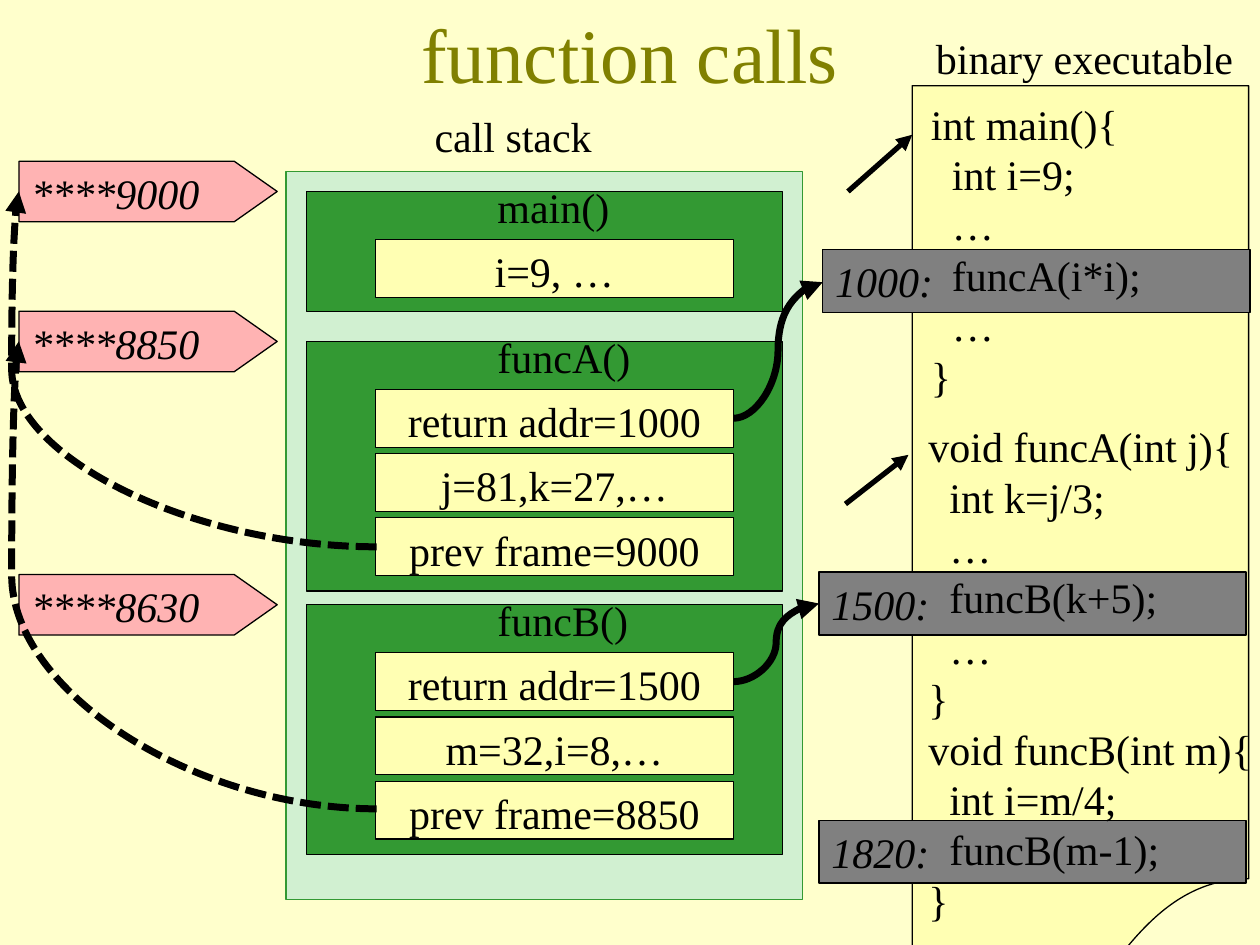
from dataclasses import dataclass

from pptx import Presentation
from pptx.dml.color import RGBColor
from pptx.enum.dml import MSO_LINE
from pptx.enum.shapes import MSO_CONNECTOR as Link, MSO_SHAPE as Shape
from pptx.enum.text import MSO_ANCHOR as Anchor, MSO_AUTO_SIZE as AutoSize, PP_ALIGN as Align
from pptx.oxml.ns import qn
from pptx.util import Inches, Pt
from lxml.etree import SubElement


@dataclass(frozen=True)
class Theme:
    font: str = "Times New Roman"
    title_size: int = 44
    body_size: int = 24
    background: str = "FFFFCC"
    title: str = "808000"
    ink: str = "000000"
    paper: str = "FFFFB3"
    address: str = "808080"
    stack: str = "D1F0D1"
    frame: str = "339933"
    pointer: str = "FFB3B3"


THEME = Theme()
FRAMES = [
    ("main()", "****9000", 1.52, 0.95, ["i=9, …"]),
    ("funcA()", "****8850", 2.71, 1.98,
     ["return addr=1000", "j=81,k=27,…", "prev frame=9000"]),
    ("funcB()", "****8630", 4.8, 1.98,
     ["return addr=1500", "m=32,i=8,…", "prev frame=8850"]),
]
ADDRESSES = [("1820:", 6.5, 6.51), ("1500:", 6.5, 4.54), ("1000:", 6.53, 1.98)]
MAIN_CODE = ["int main(){", "  int i=9;", "  …", "  funcA(i*i);", "  …", "}"]
FUNCTION_CODE = [
    "void funcA(int j){", "  int k=j/3;", "  …", "  funcB(k+5);", "  …", "}",
    "void funcB(int m){", "  int i=m/4;", "  funcB(m-1);", "}",
]


def write(box, text, align=Align.LEFT, size=THEME.body_size, color=THEME.ink, italic=False):
    box.text_frame.text = text
    for para in box.text_frame.paragraphs:
        para.alignment = align
        for span in para.runs:
            span.font.name = THEME.font
            span.font.size = Pt(size)
            span.font.italic = italic
            span.font.color.rgb = RGBColor.from_string(color)


def add_block(page, kind, bounds, fill, line=THEME.ink, text="", **style):
    block = page.shapes.add_shape(kind, *map(Inches, bounds))
    block.shadow.inherit = False
    block.fill.solid()
    block.fill.fore_color.rgb = RGBColor.from_string(fill)
    block.line.color.rgb = RGBColor.from_string(line)
    block.line.width = Pt(0.75)
    block.text_frame.vertical_anchor = Anchor.TOP
    if text:
        write(block, text, **style)
    return block


def add_label(page, bounds, text):
    label = page.shapes.add_textbox(*map(Inches, bounds))
    label.text_frame.word_wrap = False
    label.text_frame.auto_size = AutoSize.SHAPE_TO_FIT_TEXT
    write(label, text)


def add_arrow(page, kind, start, end, width, bend=None, dashed=False):
    arrow = page.shapes.add_connector(kind, *map(Inches, start + end))
    arrow.line.color.rgb = RGBColor.from_string(THEME.ink)
    arrow.line.width = Pt(width)
    if dashed:
        arrow.line.dash_style = MSO_LINE.SQUARE_DOT
    properties = arrow.element.spPr
    SubElement(properties.find(qn("a:ln")), qn("a:tailEnd"), type="triangle")
    SubElement(properties, qn("a:effectLst"))
    if bend is not None:
        guides = properties.find(qn("a:prstGeom")).get_or_add_avLst()
        SubElement(guides, qn("a:gd"), name="adj1", fmla=f"val {round(bend * 100000)}")


def add_title(page):
    title = page.shapes.title
    title.left, title.top, title.width, title.height = map(Inches, (0.75, 0, 8.5, 0.84))
    title.text_frame.vertical_anchor = Anchor.MIDDLE
    write(title, "function calls", Align.CENTER, THEME.title_size, THEME.title)


def add_frame(page, name, address, top, height, values):
    add_block(page, Shape.RECTANGLE, (2.43, top, 3.78, height), THEME.frame)
    add_label(page, (3.85, top - 0.13, 1.27, 0.51), name)
    for index, value in enumerate(values):
        add_block(page, Shape.RECTANGLE, (2.98, top + 0.38 + 0.51 * index, 2.84, 0.46),
                  THEME.paper, text=value, align=Align.CENTER)
    pointer = add_block(page, Shape.RIGHT_ARROW, (0.15, top - 0.24, 2.05, 0.48),
                        THEME.pointer, text=address, italic=True)
    pointer.adjustments[0] = 1
    pointer.adjustments[1] = 0.71


def add_executable(page):
    add_block(page, Shape.FLOWCHART_DOCUMENT, (7.24, 0.68, 2.67, 7.85), THEME.paper)
    for address, left, top in ADDRESSES:
        add_block(page, Shape.RECTANGLE, (left, top, 3.39, 0.5), THEME.address,
                  text=address, italic=True)
    add_label(page, (7.33, 0.21, 2.6, 0.51), "binary executable")
    add_label(page, (7.29, 0.73, 1.88, 2.52), "\n".join(MAIN_CODE))
    add_label(page, (7.27, 3.29, 2.79, 4.14), "\n".join(FUNCTION_CODE))


def add_stack(page):
    add_block(page, Shape.RECTANGLE, (2.27, 1.36, 4.1, 5.78), THEME.stack, THEME.frame)
    add_label(page, (3.35, 0.83, 1.48, 0.51), "call stack")
    for frame in FRAMES:
        add_frame(page, *frame)


def add_links(page):
    for start, end in [((5.82, 3.32), (6.53, 2.24)), ((5.82, 5.41), (6.5, 4.79))]:
        add_arrow(page, Link.CURVE, start, end, 4, bend=0.5)
    for start, end in [((2.99, 4.34), (0.15, 1.52)), ((2.99, 6.42), (0.15, 2.71))]:
        add_arrow(page, Link.CURVE, start, end, 4, bend=1.02, dashed=True)
    for start, end in [((6.73, 1.52), (7.24, 1.07)), ((6.71, 4), (7.21, 3.61))]:
        add_arrow(page, Link.STRAIGHT, start, end, 3)


def main():
    deck = Presentation()
    deck.slide_width, deck.slide_height = Inches(10), Inches(7.5)
    page = deck.slides.add_slide(deck.slide_layouts[5])
    page.background.fill.solid()
    page.background.fill.fore_color.rgb = RGBColor.from_string(THEME.background)
    add_title(page)
    add_executable(page)
    add_stack(page)
    add_links(page)
    deck.save("out.pptx")


if __name__ == "__main__":
    main()
